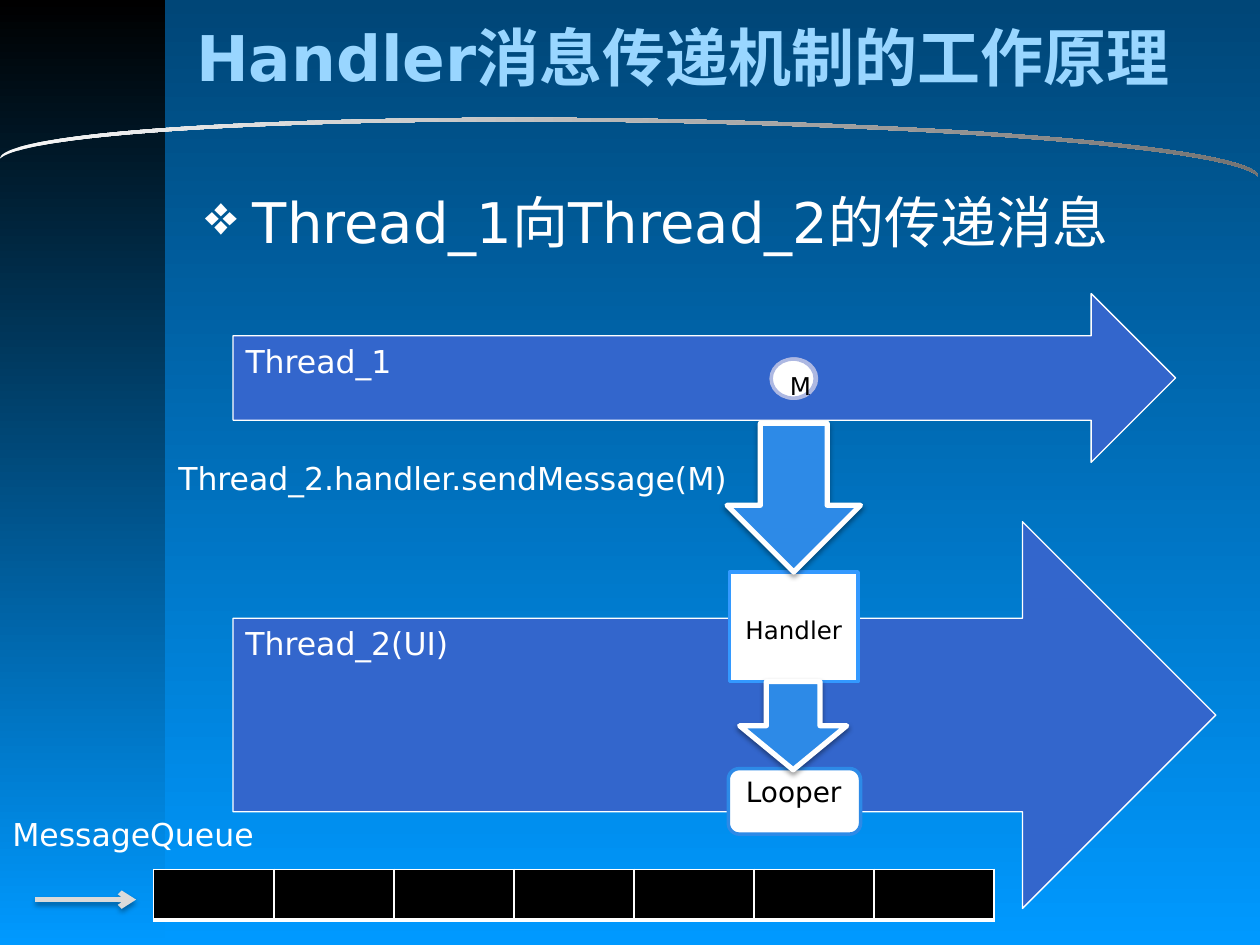
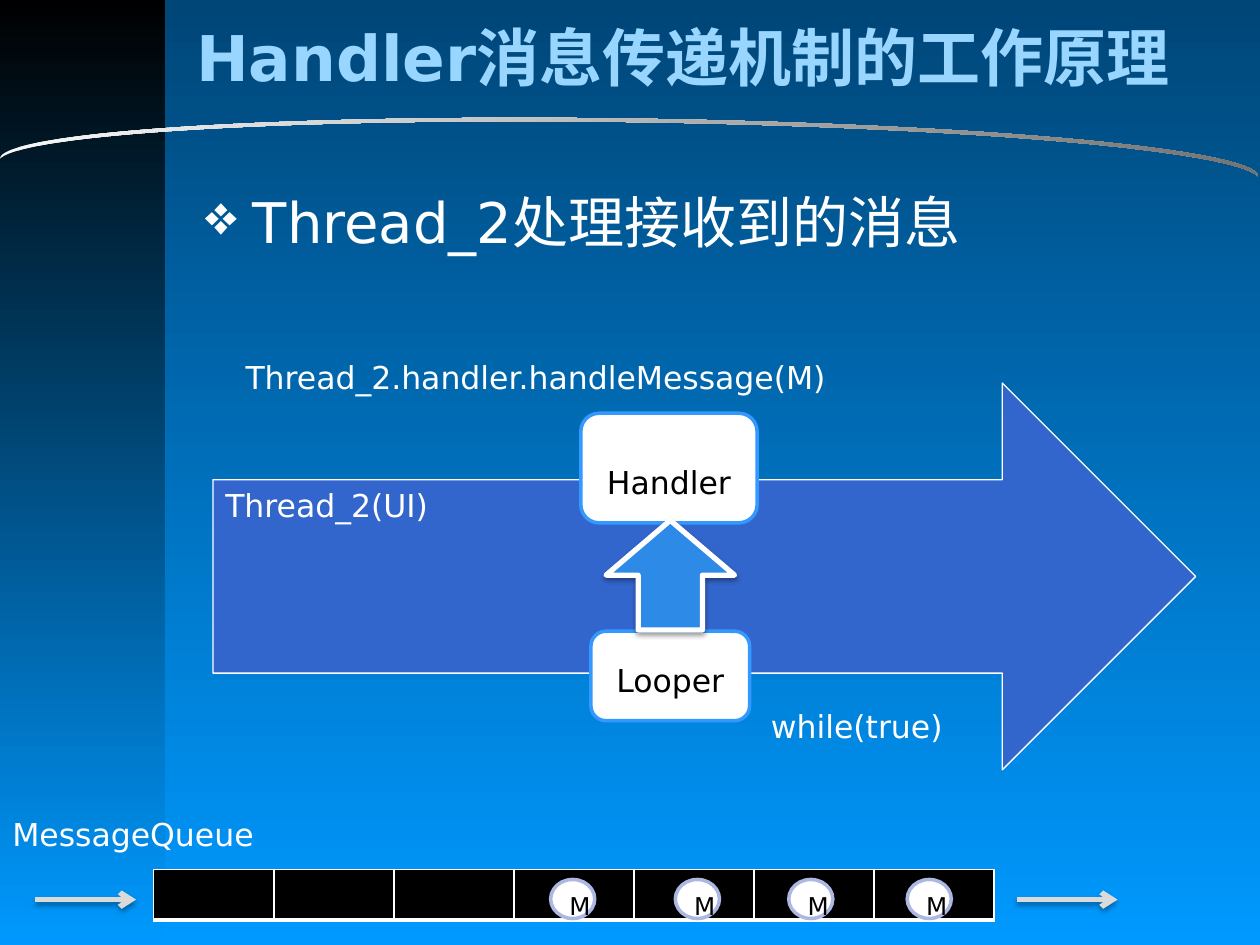
import dataclasses

import lxml.etree
import pptx
import pptx.dml.color
import pptx.enum.dml
import pptx.enum.lang
import pptx.enum.shapes
import pptx.enum.text
import pptx.oxml.ns
import pptx.util

Inches = pptx.util.Inches
Pt = pptx.util.Pt
qn = pptx.oxml.ns.qn
Preset = pptx.enum.shapes.MSO_SHAPE
Align = pptx.enum.text.PP_ALIGN
Anchor = pptx.enum.text.MSO_ANCHOR


@dataclasses.dataclass(frozen=True)
class Theme:
    font: str = "DejaVu Sans"
    sky: tuple = ("004677", "0099FF")
    band: tuple = ("000000", "0099FF")
    arc: tuple = ("F8F8F8", "737373")
    title: str = "99D6FF"
    white: str = "FFFFFF"
    black: str = "000000"
    thread: str = "3366CC"
    step: str = "2D8AE7"
    box_edge: str = "3399FF"
    message_edge: str = "ADB8E2"
    queue_arrow: str = "DADADA"
    title_size: int = 36
    heading_size: int = 32
    label_size: int = 18
    looper_size: int = 16
    small_size: int = 14


THEME = Theme()
TITLE = "Handler消息传递机制的工作原理"
QUEUE_SLOTS = 7
QUEUE_ARROW_TOP = 7.14


def rgb(value):
    return pptx.dml.color.RGBColor.from_string(value)


def add_node(parent, tag, **attributes):
    node = lxml.etree.SubElement(parent, qn(tag))
    for name, value in attributes.items():
        node.set(name, str(value))
    return node


def fill_gradient(fill, colors):
    """Fill from the first colour at the top to the second at the bottom."""
    fill.gradient()
    fill.gradient_angle = 270
    for stop, color in zip(fill.gradient_stops, colors):
        stop.color.rgb = rgb(color)


def add_shadow(effects, opacity, distance):
    shadow = add_node(effects, "a:outerShdw", blurRad=Pt(3.1), dist=Pt(distance),
                      dir=5400000, rotWithShape=0)
    color = add_node(shadow, "a:srgbClr", val=THEME.black)
    add_node(color, "a:alpha", val=opacity * 1000)


def write_text(shape, text, size=THEME.label_size, color=THEME.white, bold=False,
               align=Align.LEFT, anchor=Anchor.TOP, spacing=None, bullet=None):
    frame = shape.text_frame
    frame.word_wrap = True
    frame.vertical_anchor = anchor
    para = frame.paragraphs[0]
    para.alignment = align
    if spacing:
        para.line_spacing = spacing
    if bullet:
        para.space_before = Pt(size * 0.2)
        props = para._p.get_or_add_pPr()
        props.set("marL", str(Inches(0.38)))
        props.set("indent", str(-Inches(0.38)))
        add_node(add_node(props, "a:buClr"), "a:srgbClr", val=color)
        add_node(props, "a:buChar", char=bullet)
    span = para.add_run()
    span.text = text
    span.font.name = THEME.font
    span.font.size = Pt(size)
    span.font.bold = bold
    span.font.color.rgb = rgb(color)
    if not text.isascii():
        span.font.language_id = pptx.enum.lang.MSO_LANGUAGE_ID.SIMPLIFIED_CHINESE


def add_label(page, text, left, top, width, height=0.4, grow=True, **text_format):
    box = page.shapes.add_textbox(*map(Inches, (left, top, width, height)))
    write_text(box, text, **text_format)
    if grow:
        box.text_frame.auto_size = pptx.enum.text.MSO_AUTO_SIZE.SHAPE_TO_FIT_TEXT


def add_figure(page, preset, left, top, width, height, fill=None, edge=None, edge_width=2):
    shape = page.shapes.add_shape(preset, *map(Inches, (left, top, width, height)))
    shape.shadow.inherit = False
    if fill:
        shape.fill.solid()
        shape.fill.fore_color.rgb = rgb(fill)
    if edge:
        shape.line.color.rgb = rgb(edge)
        shape.line.width = Pt(edge_width)
    else:
        shape.line.fill.background()
    return shape


def add_thread(page, name, *place):
    arrow = add_figure(page, Preset.RIGHT_ARROW, *place, THEME.thread, THEME.white, 0.75)
    write_text(arrow, name)


def add_step_arrow(page, preset, *place):
    arrow = add_figure(page, preset, *place, THEME.step, THEME.white, 3)
    add_shadow(arrow._element.spPr.find(qn("a:effectLst")), 38, 1.6)


def add_box(page, preset, *place, edge=THEME.box_edge):
    return add_figure(page, preset, *place, THEME.white, edge)


def add_message(page, left, top):
    circle = add_box(page, Preset.OVAL, left, top, 0.35, 0.31, edge=THEME.message_edge)
    write_text(circle, "M", size=THEME.small_size, color=THEME.black, align=Align.CENTER)


def add_queue_arrow(page, left):
    top = Inches(QUEUE_ARROW_TOP)
    arrow = page.shapes.add_connector(pptx.enum.shapes.MSO_CONNECTOR.STRAIGHT,
                                      Inches(left), top, Inches(left + 0.8), top)
    arrow.line.color.rgb = rgb(THEME.queue_arrow)
    arrow.line.width = Pt(3)
    props = arrow._element.spPr
    add_node(props.find(qn("a:ln")), "a:tailEnd", type="arrow")
    add_shadow(add_node(props, "a:effectLst"), 35, 1.8)


def set_cell_borders(cell):
    props = cell._tc.get_or_add_tcPr()
    for side, width in (("L", 1), ("R", 1), ("T", 1), ("B", 3)):
        border = add_node(props, f"a:ln{side}", w=Pt(width))
        add_node(add_node(border, "a:solidFill"), "a:srgbClr", val=THEME.white)


def add_message_queue(page):
    width = Inches(6.67)
    table = page.shapes.add_table(1, QUEUE_SLOTS, Inches(1.22), Inches(6.9),
                                  width, Inches(0.4)).table
    table.first_row = False
    table.horz_banding = False
    for column in table.columns:
        column.width = width // QUEUE_SLOTS
    for cell in table.iter_cells():
        set_cell_borders(cell)
        cell.fill.solid()
        cell.fill.fore_color.rgb = rgb(THEME.black)
    add_label(page, "MessageQueue", 0, 6.42, 2.17)
    add_queue_arrow(page, 0.28)


def add_page(deck, heading):
    """Add a page with the side band, the arc, the title and a bulleted heading."""
    page = deck.slides.add_slide(deck.slide_layouts[6])
    band = add_figure(page, Preset.RECTANGLE, 0, 0, 1.31, 7.5)
    fill_gradient(band.fill, THEME.band)
    arc = add_figure(page, Preset.MOON, 4.8, -3.86, 0.39, 9.99)
    arc.adjustments[0] = 0.071
    arc.rotation = 270.8
    arc._element.spPr.find(qn("a:xfrm")).set("flipH", "1")
    fill_gradient(arc.fill, THEME.arc)
    add_label(page, TITLE, 1.46, 0.11, 8.27, 0.67, grow=False, size=THEME.title_size,
              color=THEME.title, bold=True, anchor=Anchor.MIDDLE)
    add_label(page, heading, 1.53, 1.44, 8.27, 0.66, grow=False,
              size=THEME.heading_size, bullet="❖")
    return page


def build_sending_page(deck):
    page = add_page(deck, "Thread_1向Thread_2的传递消息")
    dark_centred = {"color": THEME.black, "align": Align.CENTER}
    add_thread(page, "Thread_1", 1.85, 2.33, 7.48, 1.34)
    add_thread(page, "Thread_2(UI)", 1.85, 4.14, 7.8, 3.07)
    add_box(page, Preset.RECTANGLE, 5.79, 4.54, 1.02, 0.87)
    add_label(page, "Handler", 5.79, 4.83, 1.02, 0.34, size=THEME.small_size, **dark_centred)
    add_step_arrow(page, Preset.DOWN_ARROW, 5.77, 3.36, 1.06, 1.18)
    add_label(page, "Thread_2.handler.sendMessage(M)", 0.59, 3.59, 5.28, align=Align.RIGHT)
    add_message_queue(page)
    add_box(page, Preset.ROUNDED_RECTANGLE, 5.78, 6.1, 1.05, 0.52, edge=THEME.step)
    add_label(page, "Looper", 5.78, 6.1, 1.04, 0.37, size=THEME.looper_size, **dark_centred)
    add_step_arrow(page, Preset.DOWN_ARROW, 5.87, 5.41, 0.85, 0.7)
    for left in (6.13, 6.12):
        add_message(page, left, 2.85)


def build_handling_page(deck):
    page = add_page(deck, "Thread_2处理接收到的消息")
    add_thread(page, "Thread_2(UI)", 1.69, 3.04, 7.8, 3.07)
    add_message_queue(page)
    add_queue_arrow(page, 8.07)
    for name, spacing, place in (("Looper", 1.5, (4.69, 5.01, 1.26, 0.71)),
                                 ("Handler", 2.0, (4.61, 3.28, 1.4, 0.87))):
        box = add_box(page, Preset.ROUNDED_RECTANGLE, *place)
        write_text(box, name, color=THEME.black, align=Align.CENTER, spacing=spacing)
    add_step_arrow(page, Preset.UP_ARROW, 4.81, 4.13, 1.02, 0.87)
    add_label(page, "Thread_2.handler.handleMessage(M)", 1.85, 2.79, 4.88)
    for left in (7.2, 6.26, 5.36, 4.37):
        add_message(page, left, 6.98)
    add_label(page, "while(true)", 6.02, 5.56, 1.74)


def main():
    deck = pptx.Presentation()
    deck.slide_width = Inches(10)
    deck.slide_height = Inches(7.5)
    fill_gradient(deck.slide_master.background.fill, THEME.sky)
    build_sending_page(deck)
    build_handling_page(deck)
    deck.save("out.pptx")


if __name__ == "__main__":
    main()
